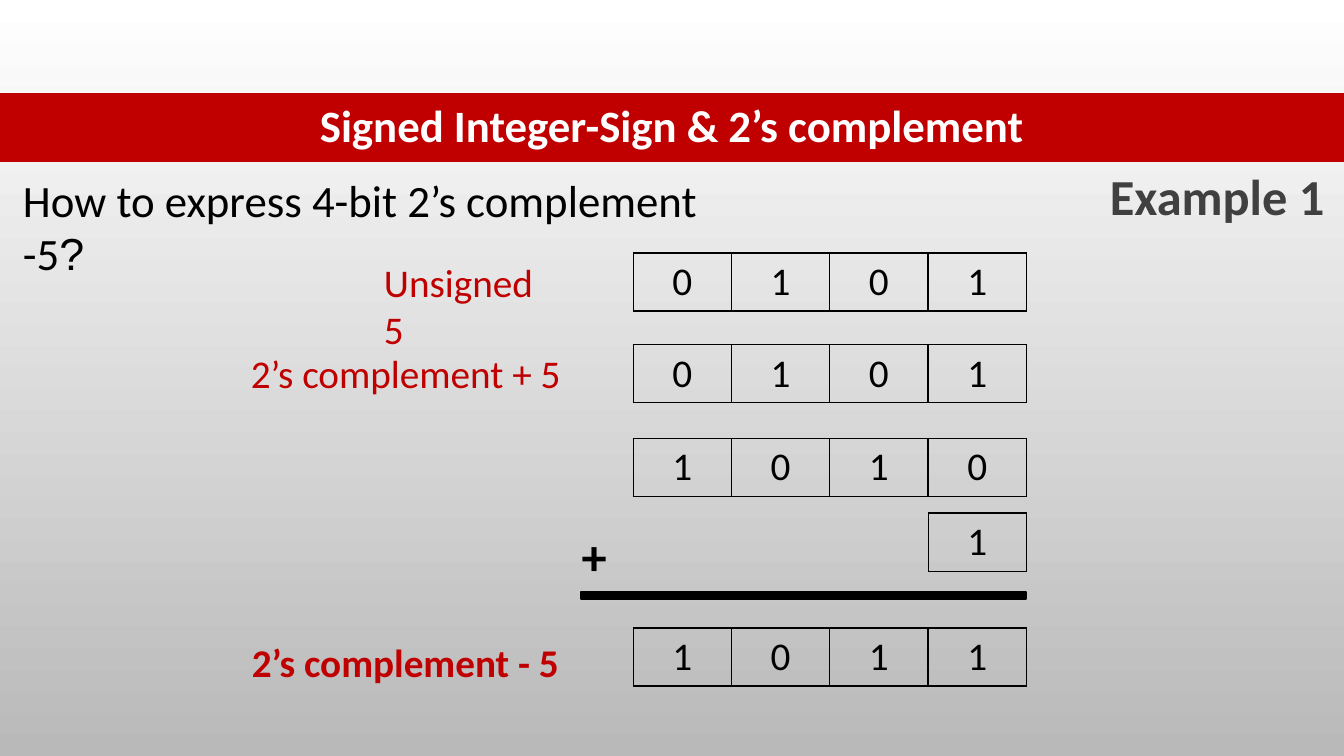
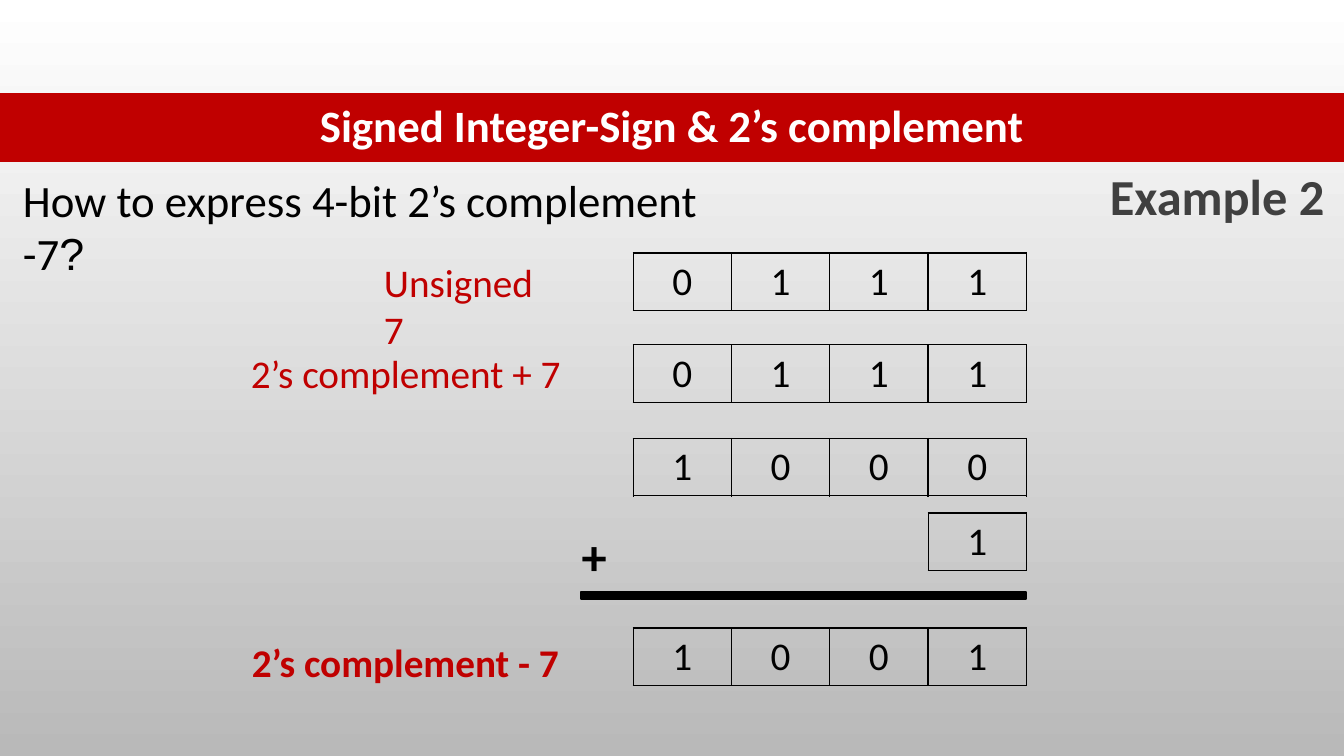
from dataclasses import dataclass

from lxml.etree import SubElement
from pptx import Presentation
from pptx.dml.color import RGBColor
from pptx.enum.shapes import MSO_SHAPE
from pptx.enum.text import MSO_ANCHOR, PP_ALIGN
from pptx.oxml import parse_xml
from pptx.oxml.ns import nsdecls, qn
from pptx.presentation import Presentation as Deck
from pptx.slide import Slide
from pptx.table import _Cell
from pptx.text.text import _Paragraph
from pptx.util import Inches, Pt

RED = RGBColor(0xC0, 0x00, 0x00)
BLACK = RGBColor(0x00, 0x00, 0x00)
WHITE = RGBColor(0xFF, 0xFF, 0xFF)
GRAY = RGBColor(0x40, 0x40, 0x40)
SILVER = RGBColor(0xB9, 0xB9, 0xB9)

FONT = "Calibri"
TITLE = "Signed Integer-Sign & 2’s complement"
SLIDE_W, SLIDE_H = 13.33, 7.5
BITS = 4
GRID_LEFT, GRID_W = 6.28, 3.9
CELL_W = GRID_W / BITS


@dataclass(frozen=True)
class Label:
    """A line of text in its own box, measured in inches."""

    text: str
    left: float
    top: float
    width: float
    height: float
    size: int = 28
    color: RGBColor = RED
    bold: bool = False
    ending: str = ""


@dataclass(frozen=True)
class BitRow:
    """A row of binary digits aligned to the right edge of the grid."""

    digits: str
    top: float


def add_run(p: _Paragraph, text: str, size: int, color: RGBColor,
            bold: bool = False, font: str = FONT) -> None:
    """Append one formatted run."""
    r = p.add_run()
    r.text = text
    r.font.name = font
    r.font.size = Pt(size)
    r.font.bold = bold
    r.font.color.rgb = color


def add_row(s: Slide, texts: list[str], left: float, top: float, width: float,
            height: float, size: int, color: RGBColor, bold: bool = False) -> list[_Cell]:
    """Draw a plain one-row table with centred text and return its cells."""
    table = s.shapes.add_table(1, len(texts), Inches(left), Inches(top),
                               Inches(width), Inches(height)).table
    table.first_row = False
    table.horz_banding = False
    cells = list(table.iter_cells())
    for cell, text in zip(cells, texts):
        cell.fill.background()
        cell.vertical_anchor = MSO_ANCHOR.MIDDLE
        p = cell.text_frame.paragraphs[0]
        p.alignment = PP_ALIGN.CENTER
        add_run(p, text, size, color, bold)
    return cells


def add_title(s: Slide) -> None:
    """Draw the full-width red title band."""
    for cell in add_row(s, [TITLE], 0, 0.92, SLIDE_W, 0.69, 32, WHITE, bold=True):
        cell.fill.solid()
        cell.fill.fore_color.rgb = RED
        add_borders(cell, None)


def add_borders(cell: _Cell, color: RGBColor | None) -> None:
    """Give all four sides of a cell a thin line, or no line."""
    tc_pr = cell._tc.get_or_add_tcPr()
    for i, side in enumerate("LRTB"):
        ln = parse_xml(f'<a:ln{side} {nsdecls("a")} w="{Pt(1)}"/>')
        if color is None:
            SubElement(ln, qn("a:noFill"))
        else:
            fill = SubElement(ln, qn("a:solidFill"))
            SubElement(fill, qn("a:srgbClr"), val=str(color))
        tc_pr.insert(i, ln)


def add_bits(s: Slide, row: BitRow) -> None:
    """Draw a row of bordered digits."""
    width = len(row.digits) * CELL_W
    left = GRID_LEFT + GRID_W - width
    for cell in add_row(s, list(row.digits), left, row.top, width, 0.57, 28, BLACK):
        add_borders(cell, BLACK)


def add_label(s: Slide, label: Label) -> None:
    """Draw a label, with its ending in Arial."""
    sp = s.shapes.add_textbox(Inches(label.left), Inches(label.top),
                              Inches(label.width), Inches(label.height))
    tf = sp.text_frame
    tf.word_wrap = True
    p = tf.paragraphs[0]
    add_run(p, label.text, label.size, label.color, label.bold)
    if label.ending:
        add_run(p, label.ending, label.size, label.color, label.bold, "Arial")


def add_sum_line(s: Slide) -> None:
    """Draw the thick bar above the result."""
    sp = s.shapes.add_shape(MSO_SHAPE.RECTANGLE, Inches(5.76), Inches(5.87),
                            Inches(4.42), Inches(0.07))
    sp.shadow.inherit = False
    sp.fill.solid()
    sp.fill.fore_color.rgb = BLACK
    sp.line.color.rgb = BLACK
    sp.line.width = Pt(1.25)


def add_example(prs: Deck, number: int, value: int) -> None:
    """Build the slide that negates one value in two's complement."""
    s = prs.slides.add_slide(prs.slide_layouts[6])
    add_title(s)
    positive = f"{value:0{BITS}b}"
    inverted = f"{2 ** BITS - 1 - value:0{BITS}b}"
    negative = f"{2 ** BITS - value:0{BITS}b}"
    for row in (
        BitRow(positive, 2.51),
        BitRow(positive, 3.42),
        BitRow(inverted, 4.35),
        BitRow("1", 5.09),
        BitRow(negative, 6.23),
    ):
        add_bits(s, row)
    add_sum_line(s)
    for label in (
        Label(f"How to express 4-bit 2’s complement -{value}", 0.13, 1.66, 7.53, 0.64,
              size=32, color=BLACK, ending="?"),
        Label(f"Unsigned {value}", 3.71, 2.51, 1.94, 0.57),
        Label(f"2’s complement + {value}", 2.39, 3.42, 3.3, 0.57),
        Label(f"2’s complement - {value}", 2.4, 6.28, 3.3, 0.57, bold=True),
        Label("+", 5.67, 5.16, 0.54, 0.71, size=36, color=BLACK, bold=True),
        Label(f"Example {number}", 10.91, 1.59, 2.42, 0.71,
              size=36, color=GRAY, bold=True),
    ):
        add_label(s, label)


def main() -> None:
    """Build and save the deck."""
    prs = Presentation()
    prs.slide_width, prs.slide_height = Inches(SLIDE_W), Inches(SLIDE_H)
    fill = prs.slide_master.background.fill
    fill.gradient()
    fill.gradient_angle = 270
    for stop, color in zip(fill.gradient_stops, (WHITE, SILVER)):
        stop.color.rgb = color
    for number, value in enumerate((5, 7), start=1):
        add_example(prs, number, value)
    prs.save("out.pptx")


if __name__ == "__main__":
    main()
